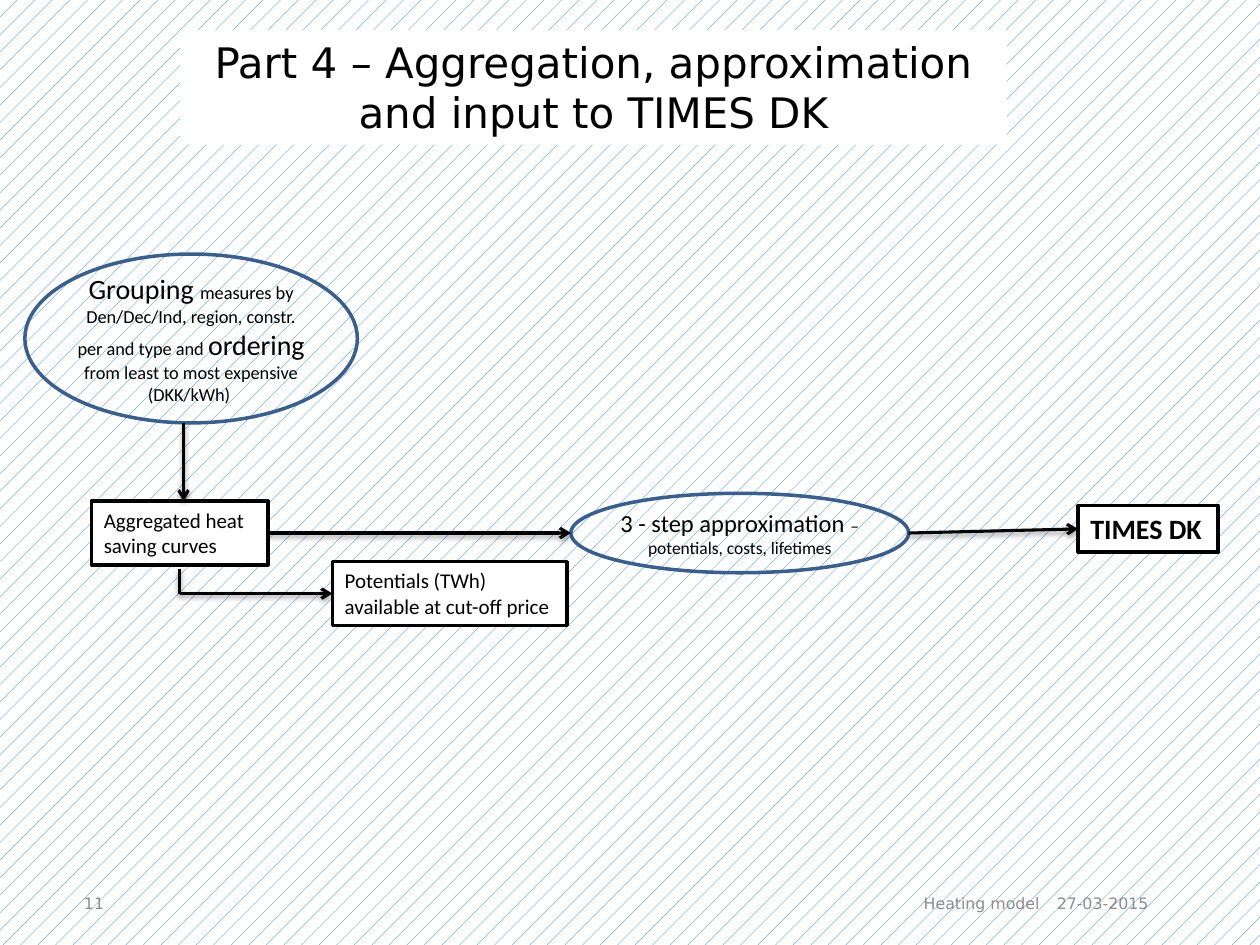
from lxml import etree
from pptx import Presentation
from pptx.dml.color import RGBColor
from pptx.enum import dml, shapes, text
from pptx.oxml import parse_xml
from pptx.oxml.ns import nsdecls, qn
from pptx.util import Pt

BLACK = RGBColor(0x00, 0x00, 0x00)
WHITE = RGBColor(0xFF, 0xFF, 0xFF)
STEEL = RGBColor(0x3A, 0x5F, 0x8C)
GREY = RGBColor(0x8C, 0x8C, 0x8C)
HATCH = RGBColor(0x00, 0x70, 0xC0)
BODY, HEADING = "Calibri", "DejaVu Sans"
LEFT, CENTER, RIGHT = text.PP_ALIGN.LEFT, text.PP_ALIGN.CENTER, text.PP_ALIGN.RIGHT
SHADOW = (
    f'<a:effectLst {nsdecls("a")}><a:outerShdw blurRad="{Pt(3.1)}" dist="{Pt(1.6)}" '
    'dir="5400000" rotWithShape="0"><a:srgbClr val="000000"><a:alpha val="38000"/>'
    "</a:srgbClr></a:outerShdw></a:effectLst>"
)


def write(shape, spans, align=LEFT, font=BODY, color=BLACK, bold=False, margin=None):
    """Write (words, size) spans as one paragraph in a shape."""
    frame = shape.text_frame
    frame.word_wrap = True
    if margin is not None:
        frame.margin_left = frame.margin_right = Pt(margin)
        frame.margin_top = frame.margin_bottom = Pt(margin)
    para = frame.paragraphs[0]
    para.alignment = align
    for words, size in spans:
        span = para.add_run()
        span.text = words
        span.font.size = Pt(size)
        span.font.name = font
        span.font.bold = bold
        span.font.color.rgb = color


def add_node(page, kind, box, fill, line):
    """Add a shadowless shape with an optional fill and outline."""
    node = page.shapes.add_shape(kind, *map(Pt, box))
    node.shadow.inherit = False
    if fill is None:
        node.fill.background()
    else:
        node.fill.solid()
        node.fill.fore_color.rgb = fill
    if line is None:
        node.line.fill.background()
    else:
        node.line.color.rgb = line
        node.line.width = Pt(2)
    return node


def add_ellipse(page, box, spans):
    """Add an outlined ellipse describing a processing step."""
    node = add_node(page, shapes.MSO_SHAPE.OVAL, box, None, STEEL)
    node.text_frame.vertical_anchor = text.MSO_ANCHOR.MIDDLE
    write(node, spans, CENTER, margin=0)
    return node


def add_box(page, box, words, size, line=BLACK, **style):
    """Add a white box that grows with its text."""
    node = add_node(page, shapes.MSO_SHAPE.RECTANGLE, box, WHITE, line)
    node.text_frame.vertical_anchor = text.MSO_ANCHOR.TOP
    node.text_frame.auto_size = text.MSO_AUTO_SIZE.SHAPE_TO_FIT_TEXT
    write(node, [(words, size)], **style)
    return node


def add_link(page, start, end, source=None, target=None, arrow=True):
    """Draw a line between points, joined to a box's right or left side if given."""
    link = page.shapes.add_connector(shapes.MSO_CONNECTOR.STRAIGHT, *map(Pt, (*start, *end)))
    if source is not None:
        link.begin_connect(source, 3)
    if target is not None:
        link.end_connect(target, 1)
    link.line.color.rgb = BLACK
    link.line.width = Pt(1.75)
    if arrow:
        etree.SubElement(link.line._get_or_add_ln(), qn("a:tailEnd"), type="arrow")
    link._element.spPr.append(parse_xml(SHADOW))


def add_footer(page, left, top, width, height):
    """Place page number, topic and date along the footer strip."""
    fields = [
        ("11", 0, 24, LEFT),
        ("Heating model", width - 282, 216, RIGHT),
        ("27-03-2015", width - 60, 60, CENTER),
    ]
    for words, offset, field_width, align in fields:
        field = page.shapes.add_textbox(Pt(left + offset), Pt(top), Pt(field_width), Pt(height))
        write(field, [(words, 9)], align, HEADING, GREY, margin=0)


def add_flow(page, left, top, width, height):
    """Place the steps from grouping to the model and link them."""
    right, bottom = left + width, top + height
    grouping = [
        ("Grouping ", 16),
        ("measures by Den/Dec/Ind, region, constr. per and type and ", 10.5),
        ("ordering ", 16),
        ("from least to most expensive (DKK/kWh) ", 10.5),
    ]
    approximation = [("3 - step approximation ", 14), ("– potentials, costs, lifetimes", 10)]
    add_ellipse(page, (left, top, 190, 96.5), grouping)
    curves = add_box(page, (left + 38, bottom - 71, 101, 36.4), "Aggregated heat saving curves", 12)
    add_ellipse(page, (left + 312, bottom - 75.5, 193, 45.4), approximation)
    model = add_box(page, (right - 80, bottom - 68.5, 80, 26.7), "TIMES DK", 16, bold=True)
    potentials = add_box(
        page, (left + 175.7, bottom - 36.4, 134, 36.4),
        "Potentials (TWh) available at cut-off price", 12,
    )
    middle, branch = bottom - 52.8, bottom - 18.2
    add_link(page, (left + 90.7, top + 96.5), (left + 90.7, bottom - 71))
    add_link(page, (left + 139, middle), (left + 312, middle), source=curves)
    add_link(page, (left + 505, middle), (right - 80, middle), target=model)
    add_link(page, (left + 88.6, bottom - 32.5), (left + 88.6, branch), arrow=False)
    add_link(page, (left + 88.6, branch), (left + 175.7, branch), target=potentials)


def build_deck():
    """Build and save the one-page deck."""
    deck = Presentation()
    deck.slide_width, deck.slide_height = Pt(720), Pt(540)
    page = deck.slides.add_slide(deck.slide_layouts[6])
    fill = page.background.fill
    fill.patterned()
    fill.pattern = dml.MSO_PATTERN.PERCENT_5
    fill.fore_color.rgb = HATCH
    fill.back_color.rgb = WHITE
    add_footer(page, 48, 510.5, 612, 24)
    add_flow(page, 14.2, 145.2, 681.8, 212.2)
    add_box(
        page, (103, 17.2, 472.3, 65.5),
        "Part 4 – Aggregation, approximation and input to TIMES DK", 24,
        line=None, align=CENTER, font=HEADING,
    )
    deck.save("out.pptx")


if __name__ == "__main__":
    build_deck()
